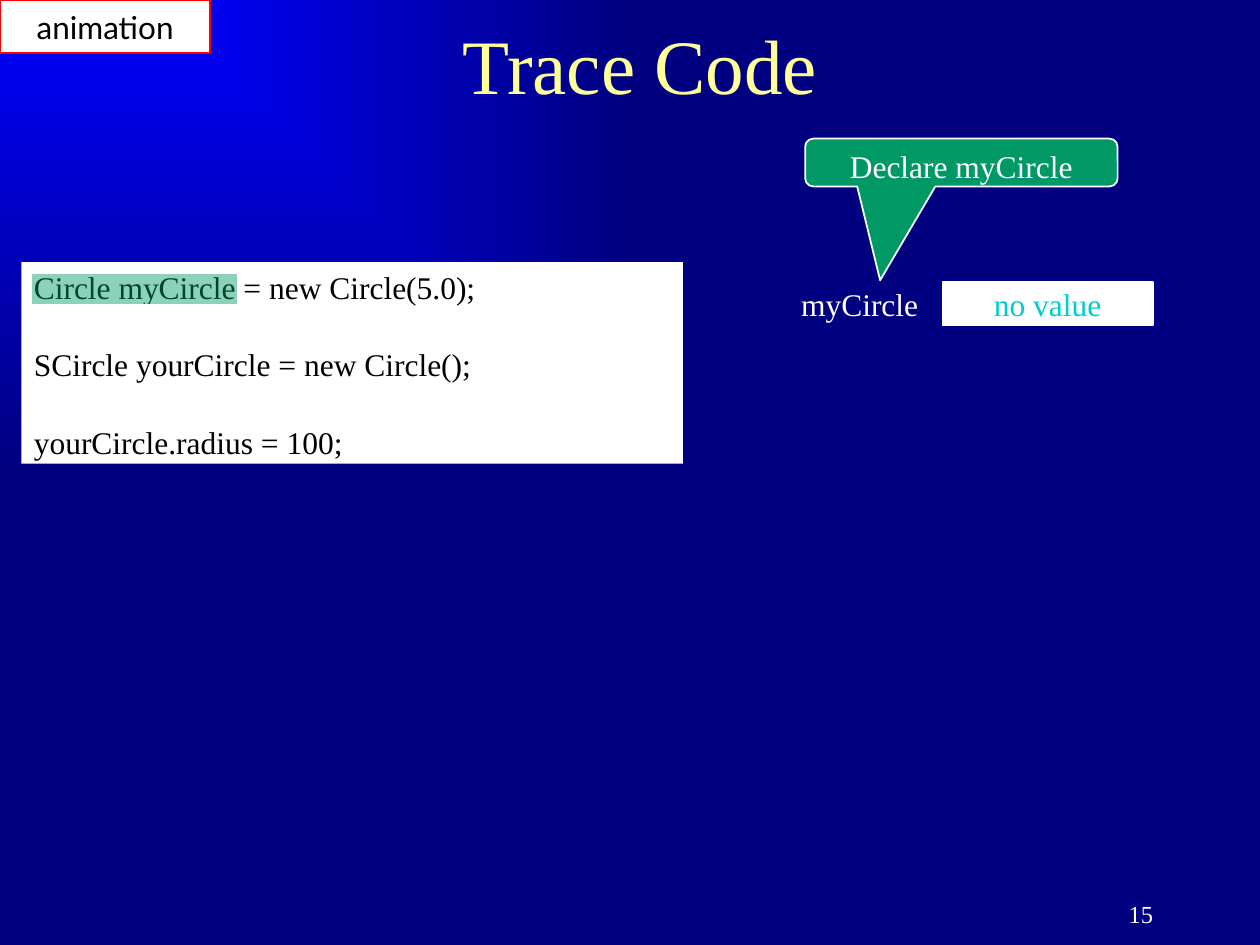
"""Build the Trace Code slide: a declaration and its empty variable."""
from lxml import etree
from pptx import Presentation
from pptx.dml.color import RGBColor
from pptx.enum.shapes import MSO_SHAPE
from pptx.enum.text import MSO_ANCHOR, PP_ALIGN
from pptx.oxml.ns import qn
from pptx.util import Inches, Pt

RECT = MSO_SHAPE.RECTANGLE
CALLOUT = MSO_SHAPE.ROUNDED_RECTANGULAR_CALLOUT
TOP, MIDDLE = MSO_ANCHOR.TOP, MSO_ANCHOR.MIDDLE
LEFT, CENTER, RIGHT = PP_ALIGN.LEFT, PP_ALIGN.CENTER, PP_ALIGN.RIGHT
BLUE = RGBColor(0x00, 0x00, 0xFF)
NAVY = RGBColor(0x00, 0x00, 0x80)
WHITE = RGBColor(0xFF, 0xFF, 0xFF)
BLACK = RGBColor(0x00, 0x00, 0x00)
YELLOW = RGBColor(0xFF, 0xFF, 0x99)
GREEN = RGBColor(0x00, 0x99, 0x66)
CYAN = RGBColor(0x00, 0xCC, 0xCC)
RED = RGBColor(0xFF, 0x00, 0x00)
SERIF = "Times New Roman"


def write(shape, text, color, size=18, align=LEFT, anchor=TOP, face=SERIF, wrap=True):
    frame = shape.text_frame
    frame.text = text
    frame.word_wrap = wrap
    frame.vertical_anchor = anchor
    for para in frame.paragraphs:
        para.alignment = align
        for run in para.runs:
            run.font.name = face
            run.font.size = Pt(size)
            run.font.color.rgb = color


def draw(kind, box, fill, line=None):
    shape = slide.shapes.add_shape(kind, *map(Inches, box))
    shape.shadow.inherit = False
    shape.fill.solid()
    shape.fill.fore_color.rgb = fill
    if line is None:
        shape.line.fill.background()
    else:
        shape.line.color.rgb = line
        shape.line.width = Pt(1)
    return shape


prs = Presentation()
prs.slide_width, prs.slide_height = Inches(10), Inches(7.5)
slide = prs.slides.add_slide(prs.slide_layouts[5])

back = slide.background.fill
back.gradient()
for stop, color in zip(back.gradient_stops, (BLUE, NAVY)):
    stop.color.rgb = color
grad = slide.element.find(".//" + qn("a:gradFill"))
grad.remove(grad.find(qn("a:lin")))
shade = etree.SubElement(grad, qn("a:path"), path="rect")
etree.SubElement(shade, qn("a:fillToRect"), r="100000", b="100000")

title = slide.shapes.title
title.left, title.top = Inches(0.83), Inches(0.17)
title.width, title.height = Inches(8.5), Inches(0.67)
write(title, "Trace Code", YELLOW, 44, CENTER, MIDDLE)

number = slide.shapes.add_textbox(Inches(7.17), Inches(7), Inches(2.08), Inches(0.5))
write(number, "15", WHITE, 14, RIGHT, MIDDLE)

lines = (
    "Circle myCircle = new Circle(5.0);",
    "SCircle yourCircle = new Circle();",
    "yourCircle.radius = 100;",
)
code = draw(RECT, (0.17, 2.08, 5.25, 1.6), WHITE)
write(code, "\n".join(lines), BLACK)
for para in code.text_frame.paragraphs[1:]:
    para.space_before = Pt(22.5)

mark = draw(RECT, (0.25, 2.17, 1.64, 0.25), GREEN, WHITE)
tint = mark.element.spPr.find(qn("a:solidFill"))[0]
etree.SubElement(tint, qn("a:alpha"), val="45000")

note = draw(CALLOUT, (6.39, 1.1, 2.48, 0.38), GREEN, WHITE)
for i, value in enumerate((-0.26, 2.46, 0.17)):
    note.adjustments[i] = value
write(note, "Declare myCircle", WHITE, align=CENTER)

value = draw(RECT, (7.48, 2.24, 1.67, 0.34), WHITE, WHITE)
write(value, "no value", CYAN, align=CENTER, anchor=MIDDLE, wrap=False)
frame = value.text_frame
frame.margin_left = frame.margin_right = Inches(0.01)
frame.margin_top = frame.margin_bottom = Inches(0.01)

label = slide.shapes.add_textbox(Inches(6.26), Inches(2.21), Inches(1.24), Inches(0.4))
write(label, "myCircle", WHITE)

tag = draw(RECT, (0, 0, 1.67, 0.42), WHITE, RED)
write(tag, "animation", BLACK, align=CENTER, anchor=MIDDLE, face="Lato", wrap=False)

prs.save("out.pptx")
